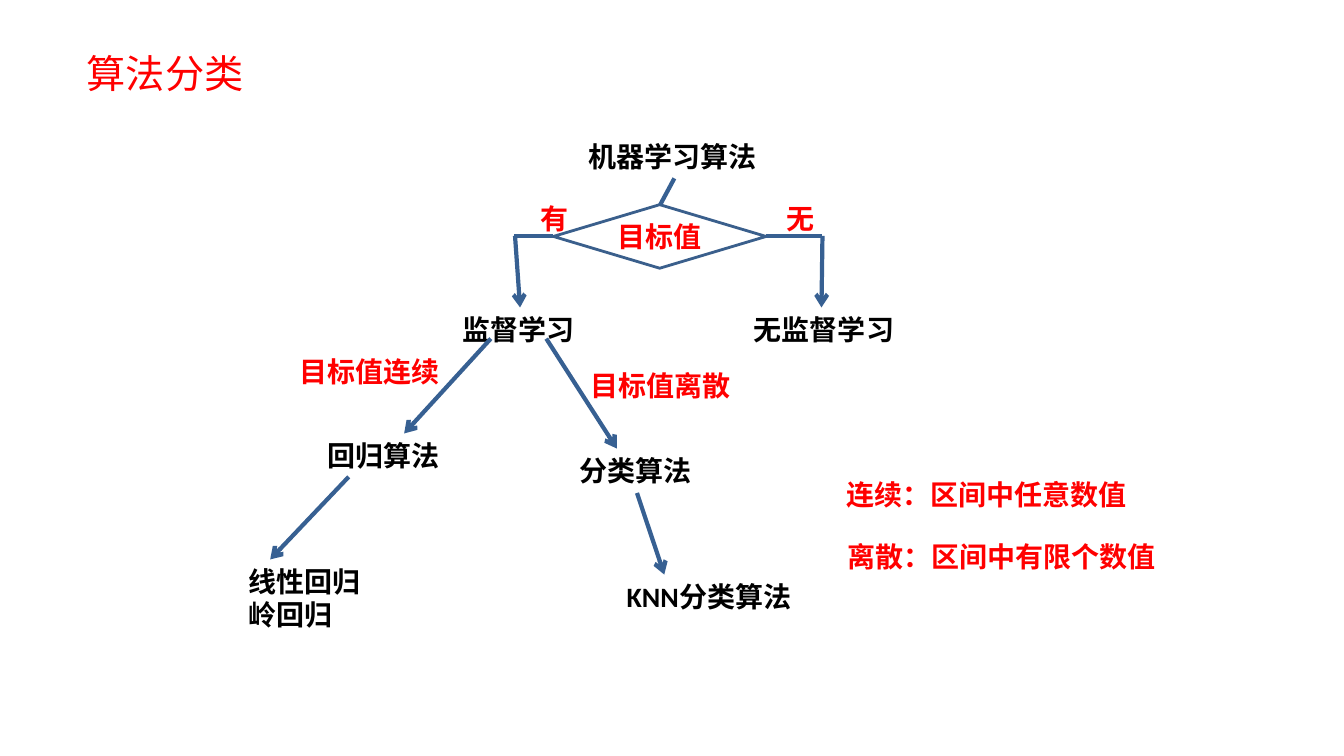
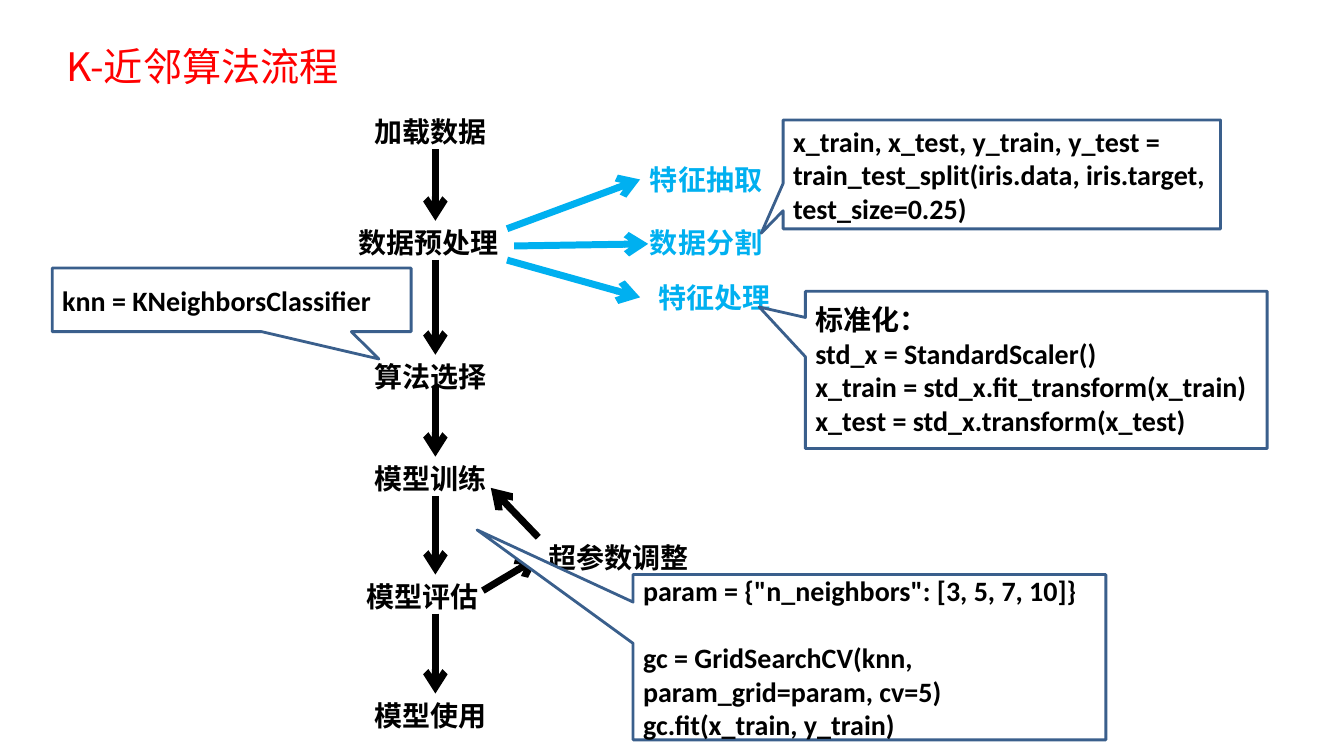
"""Two slides on machine learning: kinds of algorithms and the K-nearest-neighbours workflow."""
from itertools import pairwise
from lxml.etree import SubElement
from pptx import Presentation
from pptx.dml.color import RGBColor
from pptx.enum.shapes import MSO_CONNECTOR, MSO_SHAPE
from pptx.enum.text import MSO_ANCHOR, MSO_AUTO_SIZE, PP_ALIGN
from pptx.oxml.ns import qn
from pptx.util import Pt

RED, BLACK, WHITE = "FF0000", "000000", "FFFFFF"
SKY, STEEL, OUTLINE = "00B0F0", "376092", "3A5F8C"
LATIN, CJK = "Calibri", "Noto Sans CJK SC"


def rgb(value):
    return RGBColor.from_string(value)


class Deck:
    def __init__(self):
        self.prs = Presentation()
        self.prs.slide_width, self.prs.slide_height = Pt(960), Pt(540)
        self.blank = self.prs.slide_layouts[6]

    def new_slide(self):
        self.shapes = self.prs.slides.add_slide(self.blank).shapes

    def put_text(self, tf, lines, color, size=20, font=LATIN, bold=True, align=PP_ALIGN.LEFT):
        for i, line in enumerate(lines):
            p = tf.add_paragraph() if i else tf.paragraphs[0]
            p.text, p.alignment = line, align
            p.font.size, p.font.bold, p.font.name = Pt(size), bold, font
            p.font.color.rgb = rgb(color)
            for props in p._p.iter(qn("a:defRPr")):
                SubElement(props, qn("a:ea"), typeface=CJK)

    def label(self, text, x, y, color=BLACK, width=None, size=20, **style):
        lines = text.split("\n")
        natural = size * max(map(len, lines)) + 16
        height = 1.2 * size * len(lines) + 7.5
        tf = self.shapes.add_textbox(Pt(x), Pt(y), Pt(width or natural), Pt(height)).text_frame
        tf.word_wrap = width is not None
        tf.auto_size = MSO_AUTO_SIZE.SHAPE_TO_FIT_TEXT
        self.put_text(tf, lines, color, size, **style)

    def title(self, text, x, y, width=None):
        self.label(text, x, y, RED, width, size=28, font=CJK, bold=False)

    def line(self, x1, y1, x2, y2, color=STEEL, weight=3, arrow=True):
        sp = self.shapes.add_connector(MSO_CONNECTOR.STRAIGHT, Pt(x1), Pt(y1), Pt(x2), Pt(y2))
        sp.line.color.rgb, sp.line.width = rgb(color), Pt(weight)
        props = sp._element.spPr
        if arrow:
            SubElement(props.find(qn("a:ln")), qn("a:tailEnd"), type="arrow")
        SubElement(props, qn("a:effectLst"))

    def box(self, kind, x, y, w, h, lines, color=BLACK, align=PP_ALIGN.LEFT):
        sp = self.shapes.add_shape(kind, Pt(x), Pt(y), Pt(w), Pt(h))
        sp.shadow.inherit = False
        sp.fill.solid()
        sp.fill.fore_color.rgb = rgb(WHITE)
        sp.line.color.rgb, sp.line.width = rgb(OUTLINE), Pt(2)
        tf = sp.text_frame
        tf.word_wrap, tf.vertical_anchor = True, MSO_ANCHOR.MIDDLE
        self.put_text(tf, lines, color, align=align)
        return sp

    def callout(self, x, y, w, h, tip, lines):
        sp = self.box(MSO_SHAPE.RECTANGULAR_CALLOUT, x, y, w, h, lines)
        sp.adjustments[0], sp.adjustments[1] = tip
        return sp.text_frame


def algorithm_tree(deck):
    deck.new_slide()
    deck.title("算法分类", 55, 32)
    for text, x, y in [("机器学习算法", 413.3, 95.8), ("监督学习", 323.3, 219.6),
                       ("无监督学习", 531.4, 219.6), ("回归算法", 226.8, 309.6),
                       ("分类算法", 406.8, 320.4), ("线性回归\n岭回归", 170.6, 399.6)]:
        deck.label(text, x, y)
    deck.label("KNN分类算法", 440.6, 410.4, width=133)
    deck.box(MSO_SHAPE.FLOWCHART_DECISION, 395.3, 146.2, 151.9, 45.4, ["目标值"], RED, PP_ALIGN.CENTER)
    for ends in [(395.3, 168.5, 367.2, 168.5), (547.2, 168.5, 587.5, 168.5),
                 (471.6, 146.2, 481.7, 127.4)]:
        deck.line(*ends, arrow=False)
    for ends in [(367.9, 168.5, 371.5, 219.6), (587.5, 168.5, 586.8, 219.6),
                 (350.6, 241.9, 288.7, 309.6), (390.2, 241.9, 440.6, 320.4),
                 (249.1, 340.6, 193, 399.6), (455, 352.1, 474.5, 410.4)]:
        deck.line(*ends)
    for text, x, y in [("有", 378.7, 140.4), ("无", 554.4, 140.4),
                       ("目标值连续", 206.6, 249.8), ("目标值离散", 414.7, 259.9),
                       ("连续：区间中任意数值", 597.6, 337.7), ("离散：区间中有限个数值", 598.3, 381.6)]:
        deck.label(text, x, y, RED)


def knn_workflow(deck):
    deck.new_slide()
    deck.title("K-近邻算法流程", 40.3, 26.6, 214.6)
    steps = [("加载数据", 260.6, 78.5, 28), ("数据预处理", 249.1, 157.7, 28),
             ("算法选择", 260.6, 253.4, 22.4), ("模型训练", 260.6, 326.2, 28),
             ("模型评估", 254.9, 410.4, 28), ("模型使用", 260.6, 495.4, 28)]
    for text, x, y, _ in steps:
        deck.label(text, x, y)
    for (*_, y, drop), (*_, y_next, _) in pairwise(steps):
        deck.line(311, y + drop, 311, y_next, BLACK, 5)
    for text, x, y, ends in [("特征抽取", 457.2, 112.3, (362.2, 163.4, 457.2, 128.2)),
                             ("数据分割", 457.2, 157.7, (367.2, 175.7, 463, 174.2)),
                             ("特征处理", 463, 196.6, (362.2, 185.8, 457.2, 212.4))]:
        deck.label(text, x, y, SKY)
        deck.line(*ends, SKY, 5)
    deck.label("超参数调整", 384.5, 382.3)
    deck.line(384.5, 383.8, 350.6, 348.5, BLACK, 5)
    deck.line(344.9, 421.9, 384.5, 398.2, BLACK, 5)
    deck.callout(575.3, 208.1, 329.8, 112.3, (-0.6, -0.4), [
        "标准化：", "std_x = StandardScaler()",
        "x_train = std_x.fit_transform(x_train)", "x_test = std_x.transform(x_test)"])
    deck.callout(37.4, 191.5, 256.3, 45.4, (0.41, 0.93), ["knn = KNeighborsClassifier"])
    deck.callout(559.4, 85.7, 312.5, 77.8, (-0.55, 0.54), [
        "x_train, x_test, y_train, y_test = train_test_split(iris.data, iris.target, test_size=0.25)"])
    tf = deck.callout(452.2, 410.4, 337.7, 118.1, (-0.83, -0.77), [
        'param = {"n_neighbors": [3, 5, 7, 10]}',
        "gc = GridSearchCV(knn, param_grid=param, cv=5)", "gc.fit(x_train, y_train)"])
    tf.paragraphs[1].space_before = Pt(24)


deck = Deck()
algorithm_tree(deck)
knn_workflow(deck)
deck.prs.save("out.pptx")
